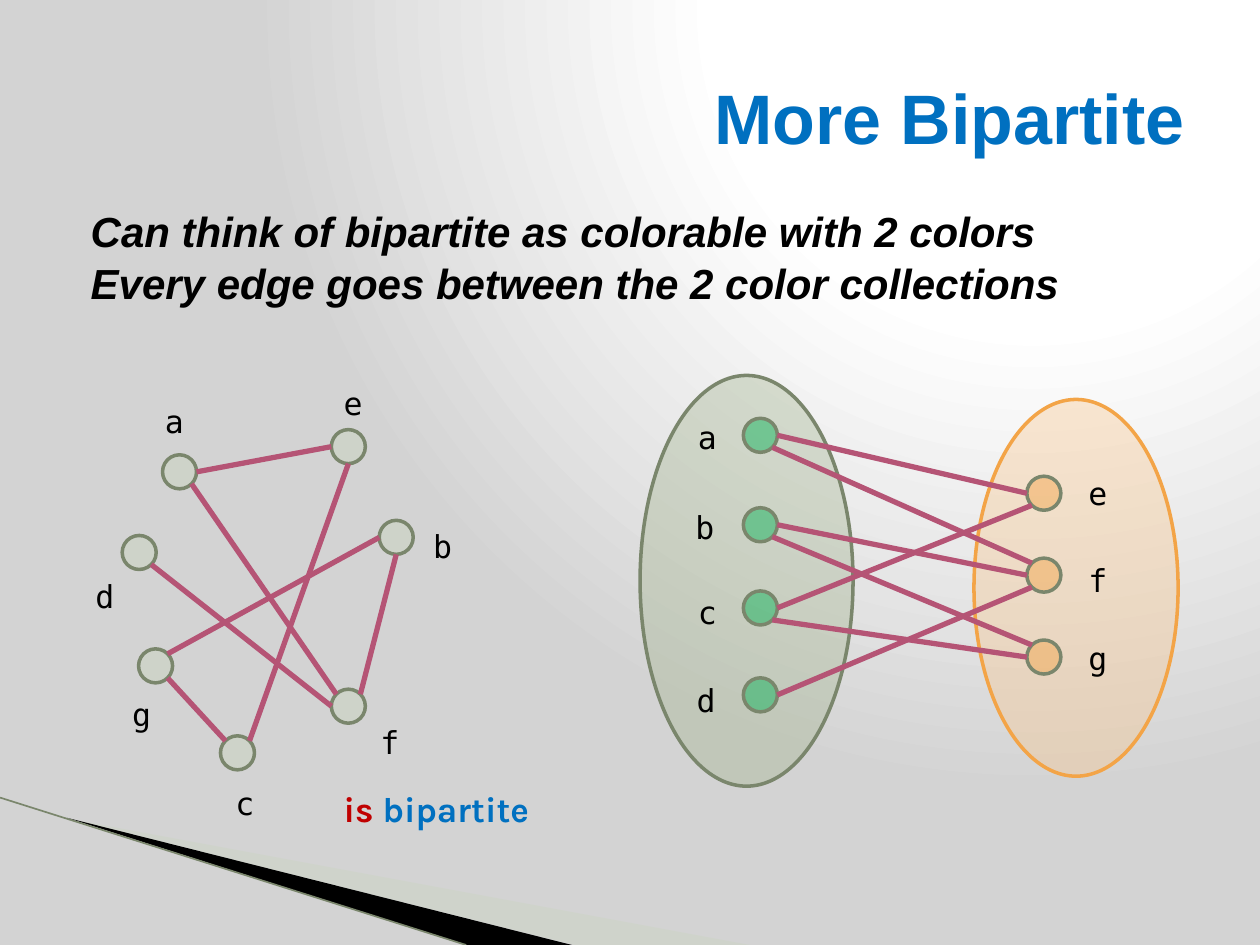
from math import cos, radians, sin

from lxml.etree import SubElement
from pptx import Presentation
from pptx.dml.color import RGBColor as RGB
from pptx.enum.shapes import MSO_CONNECTOR as CONN, MSO_SHAPE as SHAPE
from pptx.enum.text import MSO_ANCHOR as ANCHOR, MSO_AUTO_SIZE as AUTO, PP_ALIGN as ALIGN
from pptx.oxml import parse_xml
from pptx.oxml.ns import nsdecls, qn
from pptx.util import Inches, Pt

COLS, ROWS = 100, 75  # grid over the slide; one cell is a tenth of an inch
CELL = Inches(10) / COLS
NODE = 2.7  # node diameter in cells

COLORS = {
    "white": "FFFFFF", "gray": "D3D3D3", "black": "000000",
    "blue": "0070C0", "red": "C00000", "edge": "B55475",
    "node": "C9D3BE", "outline": "7A866C", "green": "00B050",
    "orange": "F3A447", "left set": "A5B592", "right set": "F8C891",
    "wedge": "CBD4C0", "rule": "C6D0BB",
}

# Compass points on a node, in degrees clockwise from east
ANGLES = {"E": 0, "SE": 45, "S": 90, "SW": 135, "W": 180, "NW": 225, "N": 270, "NE": 315}

# Node centres and label corners, in columns and rows
GRAPH_NODES = {
    "a": (14.25, 37.45), "b": (31.45, 42.65), "c": (18.85, 59.75), "d": (11.05, 43.85),
    "e": (27.65, 35.45), "f": (27.65, 56.05), "g": (12.35, 52.85),
}
GRAPH_LABELS = {
    "a": (12.1, 31.4), "b": (33.4, 41.3), "c": (17.7, 61.7), "d": (6.6, 45.3),
    "e": (26.3, 30), "f": (29.2, 56.9), "g": (9.5, 54.7),
}
GRAPH_EDGES = ["c NE e S", "a E e W", "d SE f W", "f NW a SE", "g SE c NW", "f NE b S", "g NE b W"]

LEFT_X, RIGHT_X = 60.35, 82.85
LEFT_ROWS = {"a": 34.55, "b": 41.65, "c": 48.25, "d": 55.15}
RIGHT_ROWS = {"e": 39.15, "f": 45.65, "g": 52.15}
SPLIT_LABELS = {
    "a": (54.4, 32.7), "b": (54.2, 39.8), "c": (54.4, 46.6), "d": (54.3, 53.6),
    "e": (85.4, 37.1), "f": (85.4, 44), "g": (85.4, 50.2),
}
SPLIT_EDGES = ["a E e W", "f NW a SE", "b E f W", "b SE g NW", "d E f SW", "c E e SW", "c SE g W"]


def cells(*values):
    return [round(v * CELL) for v in values]


def rgb(name):
    return RGB.from_string(COLORS[name])


def paint(sp, fill, alpha=100, line=None, width=2):
    sp.shadow.inherit = False
    sp.fill.solid()
    sp.fill.fore_color.rgb = rgb(fill)
    if alpha < 100:
        color = sp.fill._xPr.find(qn("a:solidFill"))[0]
        SubElement(color, qn("a:alpha"), val=str(alpha * 1000))
    if line:
        sp.line.color.rgb = rgb(line)
        sp.line.width = Pt(width)
    else:
        sp.line.fill.background()


def add_ellipse(shapes, box, fill, alpha, line):
    paint(shapes.add_shape(SHAPE.OVAL, *cells(*box)), fill, alpha, line)


def add_line(shapes, start, end, color, width):
    cx = shapes.add_connector(CONN.STRAIGHT, *cells(*start, *end))
    cx.line.color.rgb = rgb(color)
    cx.line.width = Pt(width)
    SubElement(cx._element.spPr, qn("a:effectLst"))


def add_polygon(shapes, points, fill, alpha=100):
    start, *rest = [cells(*p) for p in points]
    builder = shapes.build_freeform(*start)
    builder.add_line_segments(rest, close=True)
    paint(builder.convert_to_shape(), fill, alpha)


def add_text(shapes, box, paragraphs, font, size, bold=False, italic=False):
    """Each paragraph is a list of (text, colour) runs."""
    tf = shapes.add_textbox(*cells(*box)).text_frame
    tf.word_wrap = True
    for i, runs in enumerate(paragraphs):
        p = tf.paragraphs[0] if i == 0 else tf.add_paragraph()
        for text, color in runs:
            r = p.add_run()
            r.text = text
            r.font.name, r.font.size = font, Pt(size)
            r.font.bold, r.font.italic = bold, italic
            r.font.color.rgb = rgb(color)
    return tf


def add_nodes(shapes, nodes, fill):
    for x, y in nodes.values():
        add_ellipse(shapes, (x - NODE / 2, y - NODE / 2, NODE, NODE), fill, 45, "outline")


def add_labels(shapes, labels):
    for name, corner in labels.items():
        tf = add_text(shapes, (*corner, 4.7, 4), [[(name, "black")]], "DejaVu Sans Mono", 18)
        tf.auto_size = AUTO.SHAPE_TO_FIT_TEXT


def rim(center, side):
    angle = radians(ANGLES[side])
    return center[0] + NODE / 2 * cos(angle), center[1] + NODE / 2 * sin(angle)


def add_edges(shapes, nodes, edges):
    for edge in edges:
        a, a_side, b, b_side = edge.split()
        add_line(shapes, rim(nodes[a], a_side), rim(nodes[b], b_side), "edge", 3)


def set_background(s):
    stops = "".join(
        f'<a:gs pos="{pos * 1000}"><a:srgbClr val="{COLORS[name]}"/></a:gs>'
        for pos, name in ((0, "white"), (40, "white"), (100, "gray")))
    s._element.cSld.insert(0, parse_xml(
        f'<p:bg {nsdecls("p", "a")}><p:bgPr><a:gradFill rotWithShape="1">'
        f'<a:gsLst>{stops}</a:gsLst><a:path path="circle">'
        '<a:fillToRect l="65000" b="98000"/></a:path></a:gradFill>'
        '<a:effectLst/></p:bgPr></p:bg>'))


def add_decoration(shapes):
    add_polygon(shapes, [(5.5, 65), (59.5, ROWS), (45.6, ROWS)], "wedge", 40)
    add_polygon(shapes, [(5.3, 64.9), (45.4, ROWS), (37, ROWS)], "black")
    add_line(shapes, (0, 63.3), (37, ROWS), "outline", 0.95)


def add_graph(shapes):
    add_nodes(shapes, GRAPH_NODES, "node")
    add_labels(shapes, GRAPH_LABELS)
    add_edges(shapes, GRAPH_NODES, GRAPH_EDGES)


def add_split_graph(shapes):
    left = {name: (LEFT_X, y) for name, y in LEFT_ROWS.items()}
    right = {name: (RIGHT_X, y) for name, y in RIGHT_ROWS.items()}
    add_ellipse(shapes, (50.8, 29.8, 16.9, 32.6), "left set", 39, "outline")
    add_ellipse(shapes, (77.3, 31.7, 16.2, 29.9), "right set", 39, "orange")
    add_nodes(shapes, left, "green")
    add_nodes(shapes, right, "orange")
    add_labels(shapes, SPLIT_LABELS)
    add_edges(shapes, left | right, SPLIT_EDGES)


def main():
    prs = Presentation()
    prs.slide_width, prs.slide_height = cells(COLS, ROWS)
    s = prs.slides.add_slide(prs.slide_layouts[6])
    set_background(s)
    add_decoration(s.shapes)

    # Title and statements
    tf = add_text(s.shapes, (5, 3, 90, 12.5), [[("More Bipartite", "blue")]], "Arial", 40, bold=True)
    tf.vertical_anchor = ANCHOR.MIDDLE
    tf.paragraphs[0].alignment = ALIGN.RIGHT
    statements = ["Can think of bipartite as colorable with 2 colors",
                  "Every edge goes between the 2 color collections"]
    tf = add_text(s.shapes, (5, 15.3, 90, 50.6), [[(t, "black")] for t in statements],
                  "Arial", 24, bold=True, italic=True)
    tf.margin_left, tf.margin_top = cells(2.2, 1)
    tf.paragraphs[1].space_before = Pt(1)

    # Verdict under the graph
    verdict = [("is ", "red"), ("bipartite", "blue")]
    add_text(s.shapes, (26.3, 62, 18.3, 4.4), [verdict], "Karla", 20, bold=True)

    # The graph as given, then split into its two colour sets
    add_graph(s.shapes.add_group_shape().shapes)
    add_split_graph(s.shapes.add_group_shape().shapes)
    prs.save("out.pptx")


if __name__ == "__main__":
    main()
